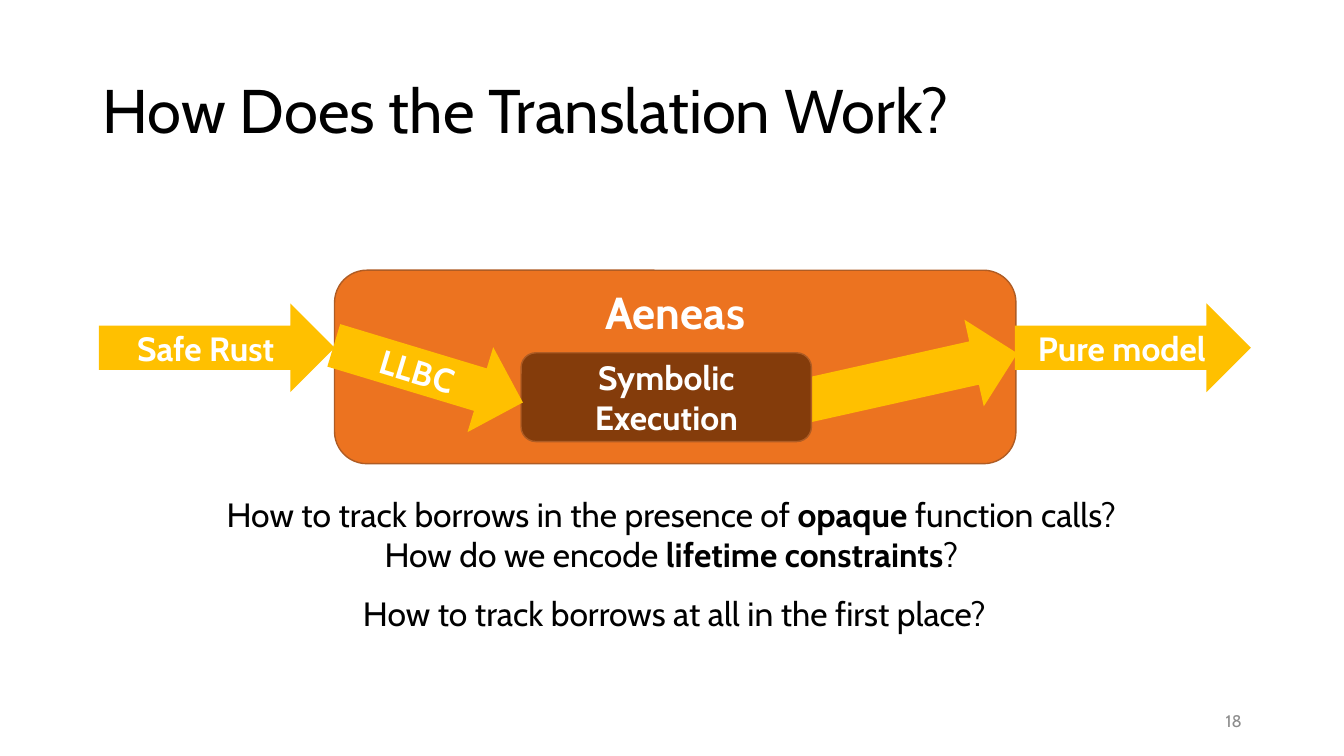
from dataclasses import dataclass
from typing import NamedTuple, Optional

from pptx import Presentation
from pptx import util as u
from pptx.dml.color import RGBColor
from pptx.enum import shapes, text


@dataclass(frozen=True)
class Theme:
    font: str = "Cabin"
    ink: str = "000000"
    white: str = "FFFFFF"
    gray: str = "8C8C8C"
    gold: str = "FFC000"
    orange: str = "EC7320"
    brown: str = "843C0B"
    edge: str = "AF5C24"
    title: int = 44
    head: int = 32
    body: int = 24
    small: int = 12


class Run(NamedTuple):
    words: str
    bold: bool = False


class Area(NamedTuple):
    left: float
    top: float
    width: float
    height: float


@dataclass(frozen=True)
class Label:
    area: Area
    lines: list[list[Run]]
    size: int
    color: str = Theme.ink
    align: text.PP_ALIGN = text.PP_ALIGN.CENTER
    anchor: text.MSO_ANCHOR = text.MSO_ANCHOR.TOP
    pitch: float = 1.0


@dataclass(frozen=True)
class Block:
    kind: shapes.MSO_SHAPE
    area: Area
    fill: str
    words: str = ""
    size: int = Theme.body
    edge: Optional[str] = None
    turn: float = 0
    anchor: text.MSO_ANCHOR = text.MSO_ANCHOR.MIDDLE


ARROW = shapes.MSO_SHAPE.RIGHT_ARROW
ROUND = shapes.MSO_SHAPE.ROUNDED_RECTANGLE
MID = text.MSO_ANCHOR.MIDDLE
T = Theme()

# All arrows and the inner box share one height
TALL = 63.4
FLOW = 216.7
SPAN = 168.5

# Pipeline, from back to front
BLOCKS = [
    Block(ARROW, Area(70.6, FLOW, SPAN, TALL), T.gold, "Safe Rust"),
    Block(ROUND, Area(239, 193, 486.7, 138.2), T.orange, "Aeneas", T.head,
          T.edge, anchor=text.MSO_ANCHOR.TOP),
    Block(ARROW, Area(725, FLOW, SPAN, TALL), T.gold, "Pure model"),
    Block(ARROW, Area(567.4, 238.3, 161.3, TALL), T.gold, turn=347.4),
    Block(ROUND, Area(372.2, 252, 207.4, TALL), T.brown, "Symbolic Execution",
          edge=T.edge),
    Block(ARROW, Area(235.4, 235.4, 141.1, TALL), T.gold, "LLBC", turn=16.8),
]

# Title, questions and page number
LABELS = [
    Label(Area(66.2, 28.8, 828, 104.4), [[Run("How Does the Translation Work?")]],
          T.title, align=text.PP_ALIGN.LEFT, anchor=MID, pitch=0.9),
    Label(Area(32.4, 349.2, 894.2, 65.5), [
        [Run("How to track borrows in the presence of "), Run("opaque", True),
         Run(" function calls?")],
        [Run("How do we encode "), Run("lifetime constraints", True), Run("?")],
    ], T.body),
    Label(Area(34.6, 419.8, 894.2, 36),
          [[Run("How to track borrows at all in the first place?")]], T.body),
    Label(Area(678.2, 500.4, 216, 28.8), [[Run("18")]], T.small, T.gray,
          text.PP_ALIGN.RIGHT, MID),
]


def place(area: Area) -> list[u.Length]:
    return [u.Pt(side) for side in area]


def write(frame, label: Label) -> None:
    frame.word_wrap = True
    frame.vertical_anchor = label.anchor
    for i, line in enumerate(label.lines):
        para = frame.add_paragraph() if i else frame.paragraphs[0]
        para.alignment = label.align
        para.line_spacing = label.pitch
        for part in line:
            run = para.add_run()
            run.text = part.words
            run.font.name = T.font
            run.font.size = u.Pt(label.size)
            run.font.bold = part.bold
            run.font.color.rgb = RGBColor.from_string(label.color)


def draw(slide, block: Block) -> None:
    shape = slide.shapes.add_shape(block.kind, *place(block.area))
    shape.shadow.inherit = False
    shape.rotation = block.turn
    shape.fill.solid()
    shape.fill.fore_color.rgb = RGBColor.from_string(block.fill)
    if block.edge:
        shape.line.color.rgb = RGBColor.from_string(block.edge)
        shape.line.width = u.Pt(1)
    else:
        shape.line.fill.background()
    if block.words:
        write(shape.text_frame, Label(block.area, [[Run(block.words, True)]],
                                      block.size, T.white, anchor=block.anchor))


def main() -> None:
    deck = Presentation()
    deck.slide_width, deck.slide_height = u.Pt(960), u.Pt(540)
    slide = deck.slides.add_slide(deck.slide_layouts[6])
    for block in BLOCKS:
        draw(slide, block)
    for label in LABELS:
        write(slide.shapes.add_textbox(*place(label.area)).text_frame, label)
    deck.save("out.pptx")


if __name__ == "__main__":
    main()
